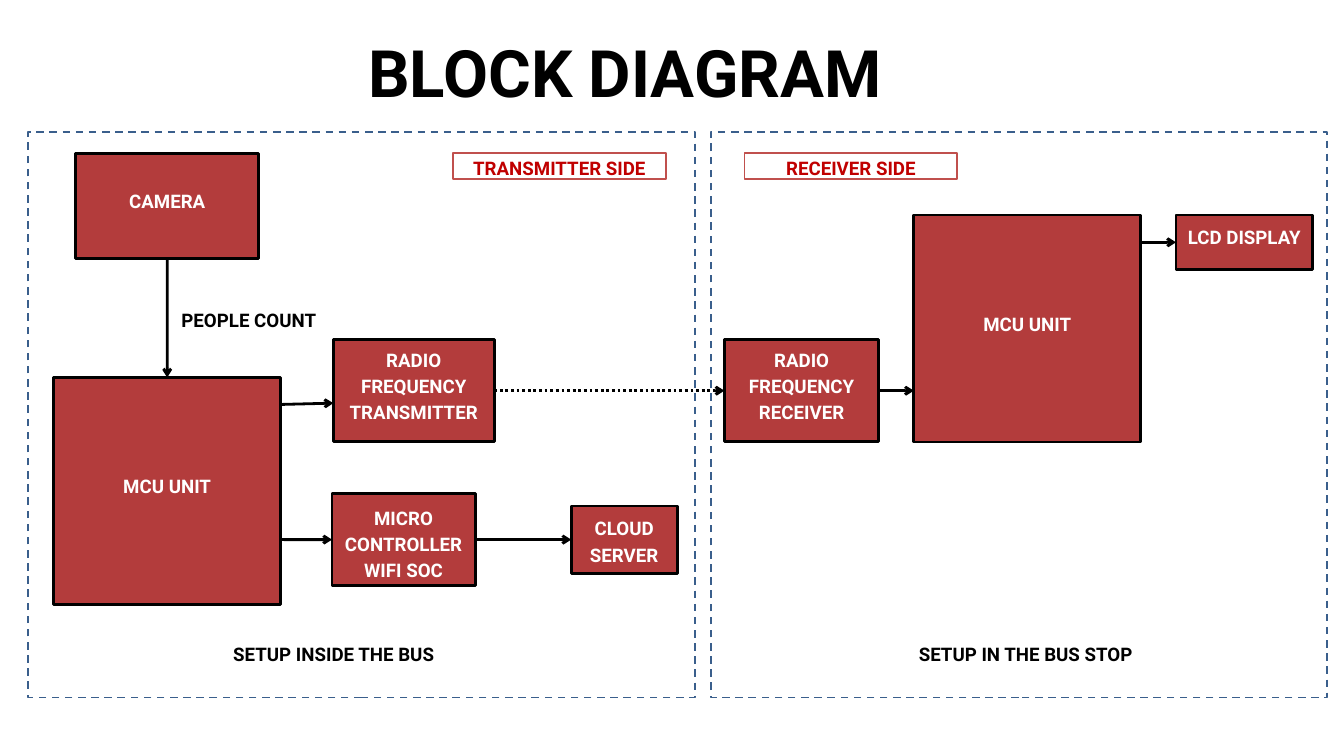
import dataclasses

import pptx
import pptx.dml.color
import pptx.enum.dml
import pptx.enum.shapes
import pptx.enum.text
import pptx.oxml
import pptx.oxml.ns
import pptx.util

Cm, Pt = pptx.util.Cm, pptx.util.Pt
TOP, LEFT, BOTTOM, RIGHT = range(4)


@dataclasses.dataclass(frozen=True)
class Theme:
    """Hold the colours, type sizes and line widths of the slide."""

    font: str = "Roboto"
    title_size: int = 70
    text_size: int = 20
    black: str = "000000"
    white: str = "FFFFFF"
    block: str = "B33C3C"
    panel: str = "3A5F8C"
    tag_line: str = "C0504D"
    tag_text: str = "C00000"
    thick: int = 3
    thin: int = 2
    inset: float = 0.15


THEME = Theme()


def rgb(value):
    """Turn a hex string into a colour."""
    return pptx.dml.color.RGBColor.from_string(value)


def write(box, text, colour, size=THEME.text_size, anchor="TOP", insets=(0, 0, 0, 0)):
    """Write centred bold lines into a box, with insets left, top, right, bottom."""
    frame = box.text_frame
    frame.word_wrap = True
    frame.auto_size = pptx.enum.text.MSO_AUTO_SIZE.NONE
    frame.vertical_anchor = pptx.enum.text.MSO_ANCHOR[anchor]
    frame.margin_left, frame.margin_top, frame.margin_right, frame.margin_bottom = map(Cm, insets)
    for index, line in enumerate(text.split("\n")):
        para = frame.add_paragraph() if index else frame.paragraphs[0]
        para.alignment = pptx.enum.text.PP_ALIGN.CENTER
        para.line_spacing = Pt(size * 1.4)
        para.space_before = Pt(0)
        span = para.add_run()
        span.text = line
        span.font.name = THEME.font
        span.font.size = Pt(size)
        span.font.bold = True
        span.font.color.rgb = rgb(colour)


def add_rectangle(page, place, fill, line, width):
    """Add a plain rectangle at left, top, width, height."""
    box = page.shapes.add_shape(pptx.enum.shapes.MSO_SHAPE.RECTANGLE, *map(Cm, place))
    box.shadow.inherit = False
    if fill:
        box.fill.solid()
        box.fill.fore_color.rgb = rgb(fill)
    else:
        box.fill.background()
    box.line.color.rgb = rgb(line)
    box.line.width = Pt(width)
    return box


def add_block(page, text, place, lift=0.5):
    """Add a component block whose text sits above centre by half the lift."""
    box = add_rectangle(page, place, THEME.block, THEME.black, THEME.thick)
    pad = THEME.inset
    insets = (pad, pad + max(-lift, 0), pad, pad + max(lift, 0))
    write(box, text, THEME.white, anchor="MIDDLE", insets=insets)
    return box


def add_panel(page, place):
    """Add a dashed outline around one side of the system."""
    box = add_rectangle(page, place, None, THEME.panel, THEME.thin)
    box.line.dash_style = pptx.enum.dml.MSO_LINE.DASH


def add_tag(page, text, left):
    """Add an outlined heading inside a panel."""
    box = add_rectangle(page, (left, 5.8, 8.05, 0.97), THEME.white, THEME.tag_line, THEME.thin)
    write(box, text, THEME.tag_text)


def add_label(page, text, place):
    """Add a free-standing black label."""
    write(page.shapes.add_textbox(*map(Cm, place)), text, THEME.black)


def add_arrow(page, start, end, dotted=False):
    """Add an arrow between ends given as (box, side) or as (x, y) in centimetres."""
    arrow = page.shapes.add_connector(pptx.enum.shapes.MSO_CONNECTOR.STRAIGHT, 0, 0, 0, 0)
    if isinstance(start[0], (int, float)):
        arrow.begin_x, arrow.begin_y = map(Cm, start)
    else:
        arrow.begin_connect(*start)
    if isinstance(end[0], (int, float)):
        arrow.end_x, arrow.end_y = map(Cm, end)
    else:
        arrow.end_connect(*end)
    arrow.line.color.rgb = rgb(THEME.black)
    arrow.line.width = Pt(THEME.thick)
    if dotted:
        arrow.line.dash_style = pptx.enum.dml.MSO_LINE.ROUND_DOT
    properties = arrow.element.spPr
    namespace = pptx.oxml.ns.nsdecls("a")
    outline = properties.find(pptx.oxml.ns.qn("a:ln"))
    outline.append(pptx.oxml.parse_xml(f'<a:tailEnd {namespace} type="arrow"/>'))
    properties.append(pptx.oxml.parse_xml(f"<a:effectLst {namespace}/>"))


def add_title(page, text, place):
    """Move the title placeholder into place and fill it."""
    title = page.shapes.title
    title.left, title.top, title.width, title.height = map(Cm, place)
    write(title, text, THEME.black, THEME.title_size)


def add_transmitter(page):
    """Draw the bus side and return the radio transmitter block."""
    add_panel(page, (1.07, 4.98, 25.2, 21.39))
    add_tag(page, "TRANSMITTER SIDE", 17.12)
    camera = add_block(page, "CAMERA", (2.86, 5.79, 6.92, 3.99))
    board = add_block(page, "MCU UNIT", (2.03, 14.27, 8.58, 8.58))
    radio = add_block(page, "RADIO FREQUENCY TRANSMITTER", (12.6, 12.84, 6.08, 3.86))
    micro = add_block(page, "MICRO CONTROLLER\nWIFI SOC", (12.55, 18.67, 5.41, 3.46), -0.18)
    cloud = add_block(page, "CLOUD SERVER", (21.59, 19.13, 4.01, 2.54), 0)
    add_arrow(page, (camera, BOTTOM), (board, TOP))
    add_arrow(page, (10.61, 15.29), (12.6, 15.24))
    add_arrow(page, (10.61, 20.4), (micro, LEFT))
    add_arrow(page, (micro, RIGHT), (cloud, LEFT))
    add_label(page, "PEOPLE COUNT", (5.72, 11.53, 7.37, 0.99))
    add_label(page, "SETUP INSIDE THE BUS", (8.59, 24.16, 8.05, 0.97))
    return radio


def add_receiver(page):
    """Draw the bus stop side and return the radio receiver block."""
    add_panel(page, (26.87, 4.98, 23.29, 21.39))
    add_tag(page, "RECEIVER SIDE", 28.14)
    radio = add_block(page, "RADIO FREQUENCY RECEIVER", (27.38, 12.84, 5.84, 3.86))
    add_block(page, "MCU UNIT", (34.54, 8.13, 8.58, 8.58))
    display = add_block(page, "LCD DISPLAY", (44.45, 8.13, 5.16, 2.06))
    add_arrow(page, (radio, RIGHT), (34.54, 14.77))
    add_arrow(page, (43.12, 9.16), (display, LEFT))
    add_label(page, "SETUP IN THE BUS STOP", (34.54, 24.16, 8.46, 0.97))
    return radio


def main():
    """Build the block diagram slide and save it."""
    deck = pptx.Presentation()
    deck.slide_width, deck.slide_height = Cm(50.8), Cm(28.58)
    page = deck.slides.add_slide(deck.slide_layouts.get_by_name("Title Only"))
    add_title(page, "BLOCK DIAGRAM", (9.98, 0.74, 27.28, 3.48))
    transmitter = add_transmitter(page)
    receiver = add_receiver(page)
    add_arrow(page, (transmitter, RIGHT), (receiver, LEFT), dotted=True)
    deck.save("out.pptx")


if __name__ == "__main__":
    main()
